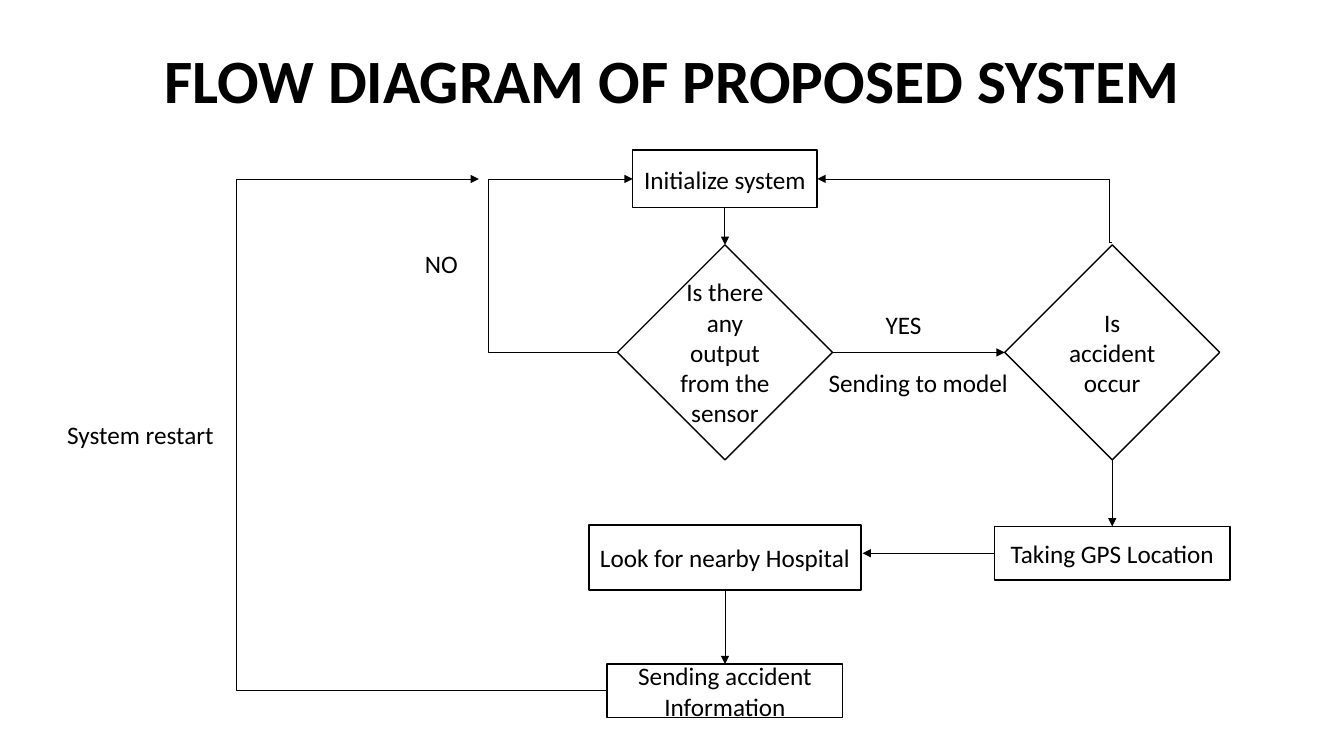
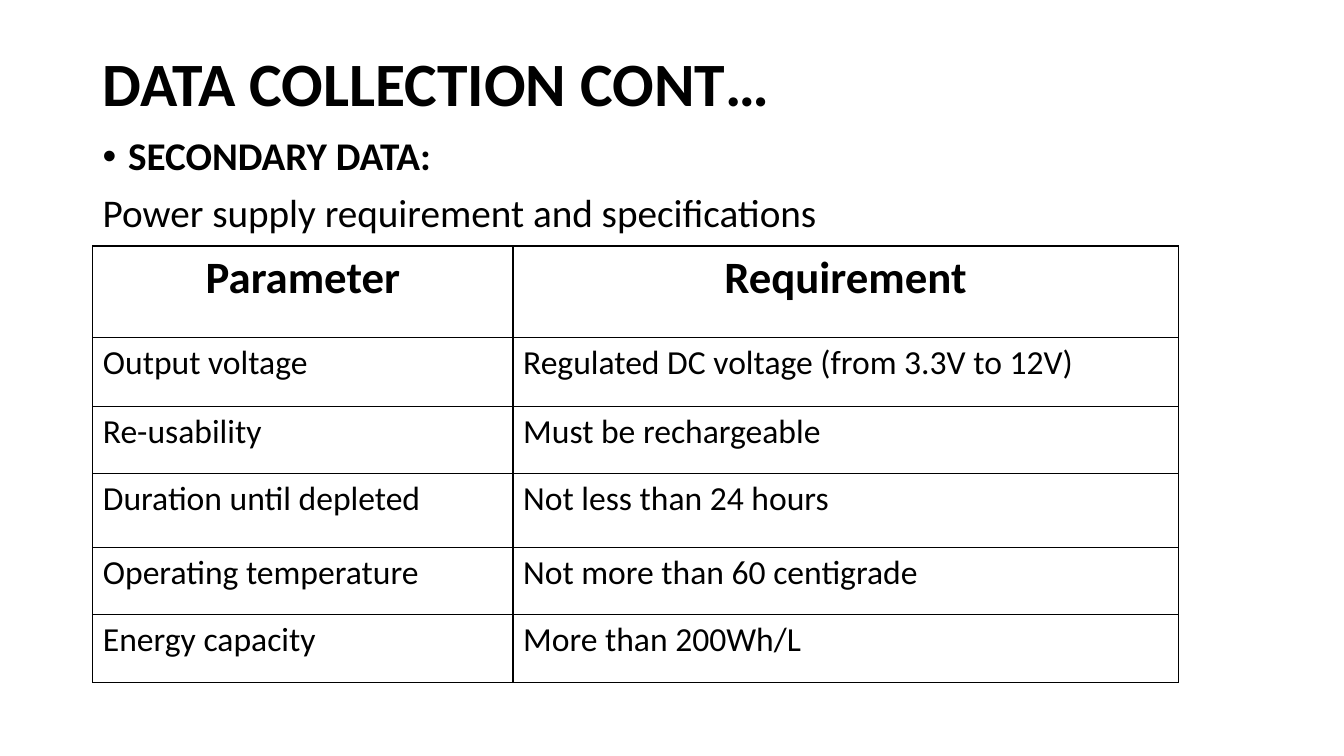
from lxml.etree import SubElement
from pptx import Presentation
from pptx.dml.color import RGBColor
from pptx.enum.shapes import MSO_CONNECTOR as CONN, MSO_SHAPE as SHAPE
from pptx.enum.text import MSO_ANCHOR as ANCHOR, PP_ALIGN as ALIGN
from pptx.oxml.ns import qn
from pptx.util import Cm, Pt

BLACK = RGBColor(0, 0, 0)
WHITE = RGBColor(255, 255, 255)
TOP, LEFT, BOTTOM, RIGHT = range(4)


class Deck:
    font = "Calibri"
    margin = 2.34
    width = 29.21

    def __init__(self):
        self.prs = Presentation()
        self.prs.slide_width = Cm(33.87)
        self.prs.slide_height = Cm(19.05)
        self.s = None

    def slide(self, title, height, align=ALIGN.LEFT):
        self.s = self.prs.slides.add_slide(self.prs.slide_layouts[6])
        tf = self.text_box(self.margin, 1.02, self.width, height)
        p = self.add_text(tf, title, 44, align, bold=True)
        p.line_spacing = 0.9

    def add_text(self, tf, text, size=18, align=ALIGN.CENTER, bold=False, new=False):
        p = tf.add_paragraph() if new else tf.paragraphs[0]
        p.alignment = align
        r = p.add_run()
        r.text = text
        r.font.name = self.font
        r.font.size = Pt(size)
        r.font.bold = bold
        r.font.color.rgb = BLACK
        return p

    def text_box(self, x, y, w, h, anchor=ANCHOR.MIDDLE):
        tf = self.s.shapes.add_textbox(Cm(x), Cm(y), Cm(w), Cm(h)).text_frame
        tf.word_wrap = True
        tf.vertical_anchor = anchor
        return tf

    def label(self, text, x, y, w, h):
        self.add_text(self.text_box(x, y, w, h), text)

    def node(self, text, cx, cy, w, h, kind=SHAPE.RECTANGLE):
        sp = self.s.shapes.add_shape(kind, Cm(cx - w / 2), Cm(cy - h / 2), Cm(w), Cm(h))
        sp.shadow.inherit = False
        sp.fill.solid()
        sp.fill.fore_color.rgb = WHITE
        sp.line.color.rgb = BLACK
        sp.line.width = Pt(1)
        tf = sp.text_frame
        tf.word_wrap = True
        tf.vertical_anchor = ANCHOR.MIDDLE
        self.add_text(tf, text)
        return sp

    def decision(self, text, cx, cy, size=5.42):
        sp = self.node(text, cx, cy, size, size, SHAPE.DIAMOND)
        tf = sp.text_frame
        tf.margin_left = tf.margin_right = Cm(0.07)
        tf.margin_top = tf.margin_bottom = 0
        return sp

    def link(self, start=None, end=None, begin=None, finish=None,
             bend=None, arrow=True, weight=0.5):
        x1, y1 = start or (0, 0)
        x2, y2 = end or (0, 0)
        kind = CONN.STRAIGHT if bend is None else CONN.ELBOW
        c = self.s.shapes.add_connector(kind, Cm(x1), Cm(y1), Cm(x2), Cm(y2))
        if begin:
            c.begin_connect(*begin)
        if finish:
            c.end_connect(*finish)
        c.line.color.rgb = BLACK
        c.line.width = Pt(weight)
        pr = c._element.spPr
        if bend is not None:
            av = pr.find(qn("a:prstGeom")).get_or_add_avLst()
            SubElement(av, qn("a:gd"), name="adj1", fmla=f"val {bend}")
        if arrow:
            SubElement(pr.get_or_add_ln(), qn("a:tailEnd"), type="triangle")
        SubElement(pr, qn("a:effectLst"))

    def bullet(self, p):
        pr = p._p.get_or_add_pPr()
        pr.set("marL", str(Cm(0.64)))
        pr.set("indent", str(-Cm(0.64)))
        SubElement(pr, qn("a:buFont"), typeface="Arial")
        SubElement(pr, qn("a:buChar"), char="•")

    def border(self, cell):
        pr = cell._tc.get_or_add_tcPr()
        for side in ("lnL", "lnR", "lnT", "lnB"):
            ln = SubElement(pr, qn(f"a:{side}"), w=str(Pt(1)))
            fill = SubElement(ln, qn("a:solidFill"))
            SubElement(fill, qn("a:srgbClr"), val=str(BLACK))

    def table(self, rows, x, y, widths, heights):
        tb = self.s.shapes.add_table(len(rows), len(widths), Cm(x), Cm(y),
                                     Cm(sum(widths)), Cm(sum(heights))).table
        tb.first_row = tb.horz_banding = False
        for col, w in zip(tb.columns, widths):
            col.width = Cm(w)
        for i, (row, h) in enumerate(zip(rows, heights)):
            tb.rows[i].height = Cm(h)
            style = (24, ALIGN.LEFT, False) if i else (32, ALIGN.CENTER, True)
            for j, text in enumerate(row):
                cell = tb.cell(i, j)
                self.border(cell)
                cell.fill.solid()
                cell.fill.fore_color.rgb = WHITE
                self.add_text(cell.text_frame, text, *style)


def flow_slide(d):
    d.slide("FLOW DIAGRAM OF PROPOSED SYSTEM", 2.18, ALIGN.CENTER)
    mid, right = 18.27, 28.03
    top, middle, bottom = 4.51, 8.88, 17.41
    no_x, restart_x = 12.3, 5.97

    init = d.node("Initialize system", mid, top, 4.65, 1.45)
    sensor = d.decision("Is there any output from the sensor", mid, middle)
    accident = d.decision("Is accident occur", right, middle)
    gps = d.node("Taking GPS Location", right, 13.94, 5.94, 1.35)
    hospital = d.node("Look for nearby Hospital", mid, 14.05, 6.86, 1.63)
    send = d.node("Sending accident Information", mid, bottom, 5.94, 1.35)

    d.link(begin=(init, BOTTOM), finish=(sensor, TOP), weight=0.75)
    d.link(begin=(sensor, RIGHT), finish=(accident, LEFT))
    d.link(begin=(accident, BOTTOM), finish=(gps, TOP))
    d.link(end=(21.74, 13.94), begin=(gps, LEFT))
    d.link(begin=(hospital, BOTTOM), finish=(send, TOP))

    d.link((15.56, middle), (no_x, top), bend=100000, arrow=False)
    d.link(start=(no_x, top), finish=(init, LEFT))
    d.link((15.3, bottom), (restart_x, top), bend=100000, arrow=False)
    d.link((restart_x, top), (12.07, top))
    d.link((right, 6.1), (20.6, top), bend=1100)

    d.label("NO", 10.21, 6.02, 1.83, 1.22)
    d.label("YES", 21.74, 7.52, 2.06, 1.3)
    d.label("Sending to model", 20.17, 9.02, 5.94, 1.24)
    d.label("System restart", 1.37, 10.11, 4.34, 1.7)


def data_slide(d):
    d.slide("DATA COLLECTION CONT…", 2.31)
    tf = d.text_box(d.margin, 3.33, d.width, 2.8, ANCHOR.TOP)
    heading = d.add_text(tf, "SECONDARY DATA:", 28, ALIGN.LEFT, bold=True)
    intro = d.add_text(tf, "Power supply requirement and specifications", 28,
                       ALIGN.LEFT, new=True)
    for p in (heading, intro):
        p.line_spacing = 0.9
        p.space_before = Pt(10)
    d.bullet(heading)
    rows = [
        ("Parameter", "Requirement"),
        ("Output voltage", "Regulated DC voltage (from 3.3V to 12V)"),
        ("Re-usability", "Must be rechargeable"),
        ("Duration until depleted", "Not less than 24 hours"),
        ("Operating temperature", "Not more than 60 centigrade"),
        ("Energy capacity", "More than 200Wh/L"),
    ]
    d.table(rows, d.margin, 6.2, (10.59, 16.76), (2.31, 1.73, 1.7, 1.85, 1.7, 1.7))


def main():
    d = Deck()
    flow_slide(d)
    data_slide(d)
    d.prs.save("out.pptx")


if __name__ == "__main__":
    main()
